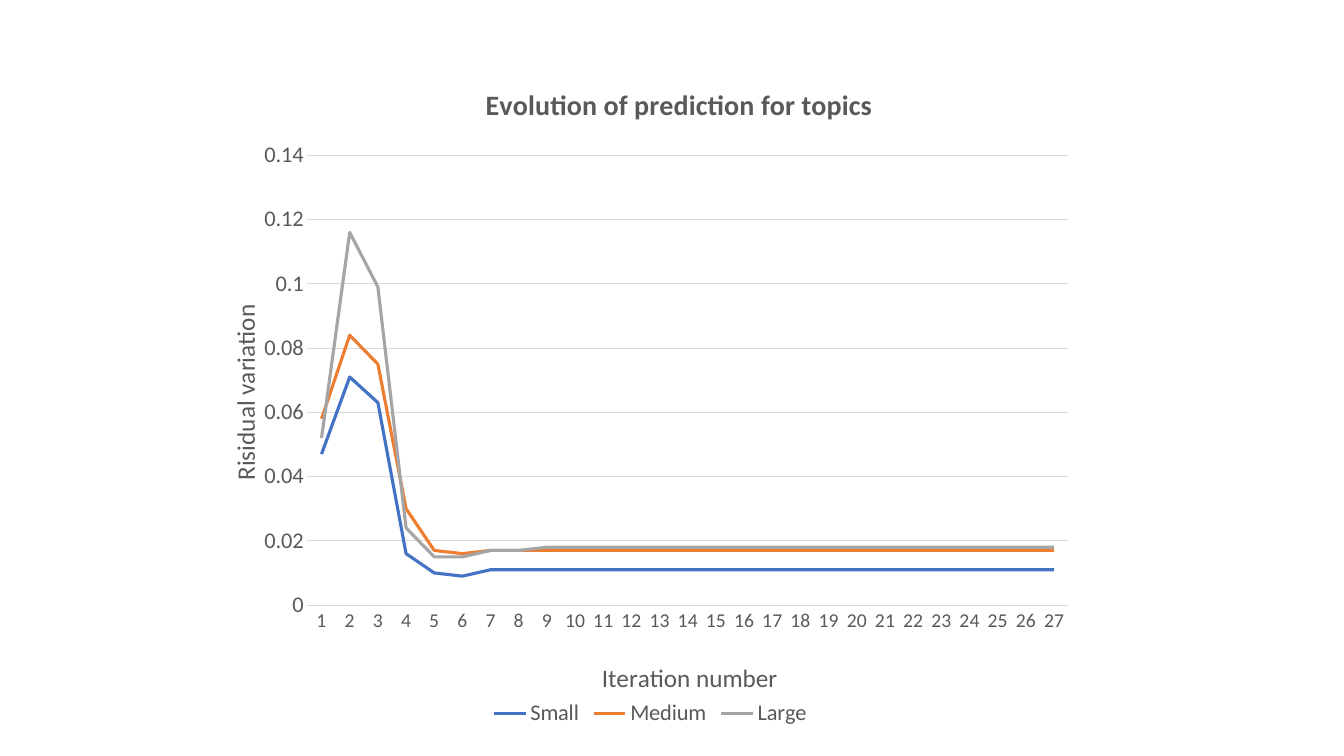
from dataclasses import dataclass
from typing import Any

from pptx import Presentation
from pptx.chart.data import CategoryChartData
from pptx.dml.color import RGBColor
from pptx.enum.chart import XL_CHART_TYPE, XL_LEGEND_POSITION, XL_TICK_MARK
from pptx.oxml import parse_xml
from pptx.oxml.ns import nsdecls, qn
from pptx.util import Inches, Pt

COLUMNS, ROWS = 133.33, 75
ITERATIONS = 27
GREY, PALE = "595959", "D9D9D9"


@dataclass(frozen=True)
class Topic:
    name: str
    color: str
    start: tuple[float, ...]

    def values(self) -> list[float]:
        settled = [self.start[-1]] * (ITERATIONS - len(self.start))
        return [*self.start, *settled]


@dataclass(frozen=True)
class Caption:
    text: str
    size: int
    bold: bool
    left: float
    top: float


TOPICS = [
    Topic("Small", "4472C4", (0.047, 0.071, 0.063, 0.016, 0.01, 0.009, 0.011)),
    Topic("Medium", "ED7D31", (0.058, 0.084, 0.075, 0.03, 0.017, 0.016, 0.017)),
    Topic("Large", "A5A5A5", (0.052, 0.116, 0.099, 0.024, 0.015, 0.015, 0.017, 0.017, 0.018)),
]
CHART_TITLE = Caption("Evolution of prediction for topics", 20, True, 31.1, 6.8)
CATEGORY_TITLE = Caption("Iteration number", 18, False, 44.1, 89.2)
VALUE_TITLE = Caption("Risidual variation", 18, False, 2.4, 38.3)


def paint(color: Any, value: str) -> None:
    color.rgb = RGBColor.from_string(value)


def apply(target: Any, values: dict[str, Any]) -> None:
    for name, value in values.items():
        setattr(target, name, value)


def style_font(font: Any, size: int, bold: bool = False) -> None:
    apply(font, {"name": "Calibri", "size": Pt(size), "bold": bold})
    paint(font.color, GREY)


def style_line(line: Any, color: str, width: float) -> None:
    paint(line.color, color)
    line.width = Pt(width)


def place(parent: Any, index: int, inner: bool, **percent: float) -> None:
    for layout in parent.findall(qn("c:layout")):
        parent.remove(layout)
    target = '<c:layoutTarget val="inner"/>' if inner else ""
    modes = "".join(f'<c:{axis}Mode val="edge"/>' for axis in "xy")
    sizes = "".join(f'<c:{key} val="{value / 100:.3f}"/>' for key, value in percent.items())
    parent.insert(index, parse_xml(
        f'<c:layout {nsdecls("c")}><c:manualLayout>{target}{modes}{sizes}'
        "</c:manualLayout></c:layout>"
    ))


def write_caption(title: Any, caption: Caption) -> None:
    para = title.text_frame.paragraphs[0]
    span = para.add_run()
    span.text = caption.text
    for font in (para.font, span.font):
        style_font(font, caption.size, caption.bold)
    place(title._element, 1, False, x=caption.left, y=caption.top)


def add_prediction_chart(page: Any, column: Any, row: Any) -> None:
    data = CategoryChartData()
    data.categories = [str(number) for number in range(1, ITERATIONS + 1)]
    for topic in TOPICS:
        data.add_series(topic.name, topic.values())
    chart = page.shapes.add_chart(
        XL_CHART_TYPE.LINE,
        round(20 * column), round(3.2 * row), round(89 * column), round(69.4 * row), data,
    ).chart
    style_font(chart.font, 10)
    apply(chart, {"has_title": True, "has_legend": True})
    write_caption(chart.chart_title, CHART_TITLE)
    apply(chart.legend, {"position": XL_LEGEND_POSITION.BOTTOM, "include_in_layout": False})
    style_font(chart.legend.font, 16)

    chart.plots[0].vary_by_categories = False
    for topic, series in zip(TOPICS, chart.plots[0].series):
        series.smooth = False
        style_line(series.format.line, topic.color, 2.25)

    axes = [(chart.category_axis, CATEGORY_TITLE, 14), (chart.value_axis, VALUE_TITLE, 16)]
    for axis, caption, size in axes:
        apply(axis, {
            "has_title": True,
            "major_tick_mark": XL_TICK_MARK.NONE,
            "minor_tick_mark": XL_TICK_MARK.NONE,
        })
        style_font(axis.tick_labels.font, size)
        write_caption(axis.axis_title, caption)
    style_line(chart.category_axis.format.line, PALE, 0.75)
    apply(chart.value_axis, {
        "minimum_scale": 0, "maximum_scale": 0.14, "major_unit": 0.02,
        "has_major_gridlines": True,
    })
    style_line(chart.value_axis.major_gridlines.format.line, PALE, 0.75)
    chart.value_axis.format.line.fill.background()
    chart.value_axis.axis_title.text_frame._txBody.bodyPr.set("rot", "-5400000")
    chart.value_axis.axis_title.text_frame._txBody.bodyPr.set("vert", "horz")
    plot_area = chart._chartSpace.chart.plotArea
    place(plot_area, 0, True, x=11.8, y=17.6, w=84.8, h=64.3)


def main() -> None:
    deck = Presentation()
    apply(deck, {"slide_width": Inches(13.33), "slide_height": Inches(7.5)})
    page = deck.slides.add_slide(deck.slide_layouts.get_by_name("Blank"))
    add_prediction_chart(page, deck.slide_width / COLUMNS, deck.slide_height / ROWS)
    deck.save("out.pptx")


if __name__ == "__main__":
    main()
